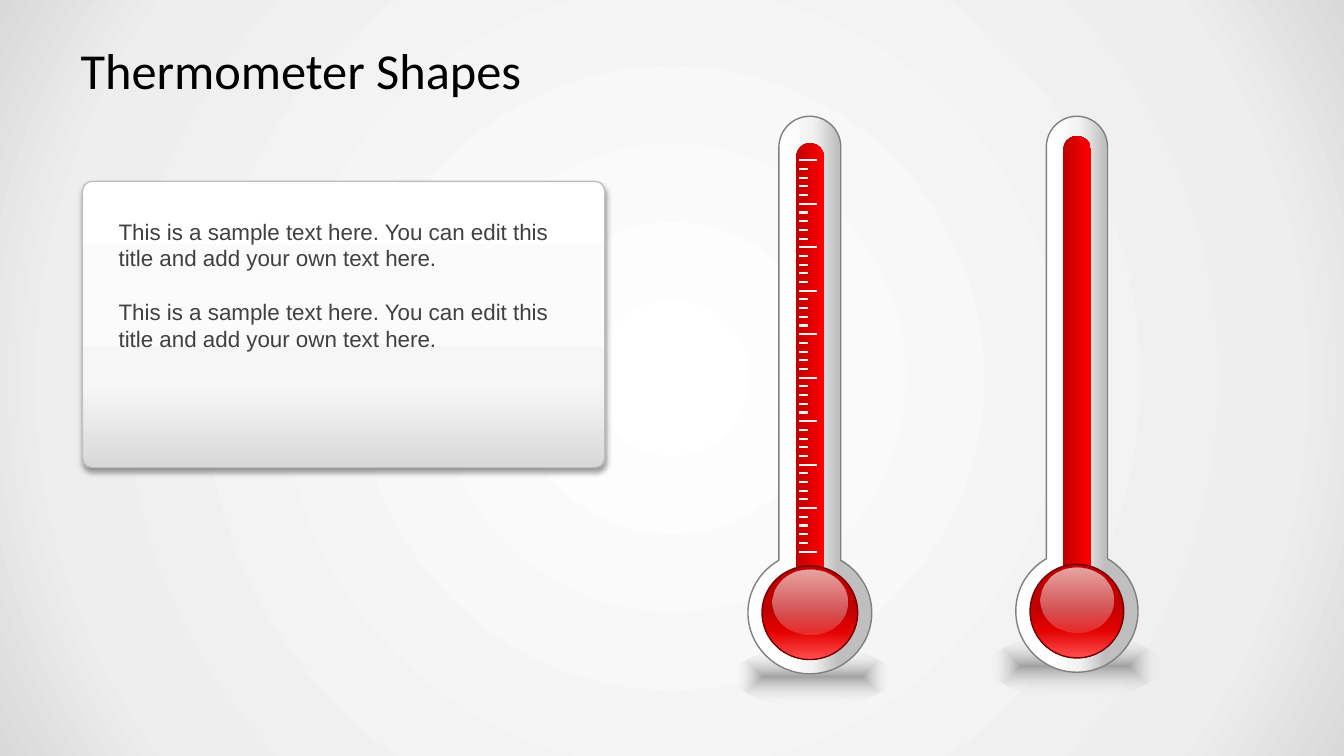
from dataclasses import dataclass

from lxml import etree
from pptx import Presentation
from pptx import util as u
from pptx.dml.color import RGBColor
from pptx.enum import shapes, text
from pptx.oxml import ns

SHAPE = shapes.MSO_SHAPE
SAMPLE = "This is a sample text here. You can edit this title and add your own text here."


@dataclass(frozen=True)
class Theme:
    title_font: str = "Calibri"
    body_font: str = "Arial"
    title_size: float = 36
    body_size: float = 16
    paragraph_gap: float = 19.3
    title_color: str = "000000"
    body_color: str = "404040"
    glass_line: str = "808080"
    bulb_line: str = "760000"
    card_line: str = "BFBFBF"
    tick: str = "F2F2F2"
    shade: str = "000000"
    # Gradient stops: position, colour, opacity (all percentages)
    backdrop: tuple = ((0, "FFFFFF", 100), (81, "EEEEEE", 100), (100, "D9D9D9", 100))
    ground: tuple = ((0, "808080", 70), (100, "FFFFFF", 0))
    glass: tuple = ((31, "FFFFFF", 100), (52, "F2F2F2", 100), (73, "BFBFBF", 100))
    fluid: tuple = ((0, "C00000", 100), (100, "FF0000", 100))
    bulb: tuple = ((46, "C00000", 100), (70, "E30000", 100), (100, "FF4F4F", 100))
    gloss: tuple = ((0, "FFFFFF", 65), (100, "FFFFFF", 15))
    card: tuple = ((0, "FFFFFF", 100), (44, "FBFBFB", 100),
                   (71, "F6F6F6", 100), (100, "D9D9D9", 100))


THEME = Theme()


@dataclass(frozen=True)
class Thermometer:
    """Measures in centimetres; each size is (width, height)."""
    center: float
    neck_y: float
    bulb_y: float
    bottom: float
    bulb_radius: float
    tube_radius: float
    fluid_top: float
    fluid_height: float
    bulb_top: float
    bulb_size: tuple
    gloss_top: float
    gloss_size: tuple
    ground_center: float
    ground_top: float
    ground_size: tuple


PLAIN = Thermometer(27.14, 14.08, 15.4, 16.94, 1.54, 0.77, 3.43, 12.32, 14.22,
                    (2.36, 2.36), 14.3, (1.85, 1.63), 27.09, 15.98, (4.32, 1.6))
SCALED = Thermometer(20.41, 14.12, 15.44, 16.98, 1.56, 0.78, 3.61, 11.61, 14.26,
                     (2.41, 2.36), 14.34, (1.9, 1.65), 20.48, 16.31, (3.96, 1.47))
TUBE_TOP = 2.93
FLUID_WIDTH = 0.71
ROUNDNESS = 0.55  # control arm of a quarter circle, as a share of its radius


def add_xml(parent, tag, **attributes):
    child = etree.SubElement(parent, ns.qn(tag))
    for name, value in attributes.items():
        child.set(name, str(value))
    return child


def add_color(parent, color, opacity):
    node = add_xml(parent, "a:srgbClr", val=color)
    if opacity < 100:
        add_xml(node, "a:alpha", val=opacity * 1000)


def set_gradient(holder, stops, angle=None, path=None):
    """Replace the plain fill in holder by a linear or a centred gradient."""
    old = next(node for node in holder
               if node.tag in (ns.qn("a:noFill"), ns.qn("a:solidFill")))
    fill = etree.Element(ns.qn("a:gradFill"), rotWithShape="1")
    stop_list = add_xml(fill, "a:gsLst")
    for position, color, opacity in stops:
        add_color(add_xml(stop_list, "a:gs", pos=position * 1000), color, opacity)
    if path:
        center = add_xml(fill, "a:path", path=path)
        add_xml(center, "a:fillToRect", l=50000, t=50000, r=50000, b=50000)
    else:
        add_xml(fill, "a:lin", ang=angle * 60000, scaled=0)
    holder.replace(old, fill)


def paint(shape, stops, line=None, **direction):
    shape.shadow.inherit = False
    shape.fill.background()
    set_gradient(shape._element.spPr, stops, **direction)
    if line:
        shape.line.color.rgb = RGBColor.from_string(line)
        shape.line.width = u.Pt(1)
    else:
        shape.line.fill.background()


def add_preset(parent, kind, left, top, width, height, stops, **look):
    shape = parent.add_shape(kind, *map(u.Cm, (left, top, width, height)))
    paint(shape, stops, **look)
    return shape


def add_centered(parent, kind, center, top, size, stops, **look):
    return add_preset(parent, kind, center - size[0] / 2, top, *size, stops, **look)


def bend(shape, curves):
    """Turn line segments into Bezier curves, three segments to a curve."""
    segments = list(shape._element.iter(ns.qn("a:lnTo")))
    for first in curves:
        group = segments[first:first + 3]
        curve = etree.Element(ns.qn("a:cubicBezTo"))
        group[0].addprevious(curve)
        for segment in group:
            curve.append(segment[0])
            segment.getparent().remove(segment)


def add_glass(parent, gauge):
    tube, bulb = gauge.tube_radius, gauge.bulb_radius
    shoulder = TUBE_TOP + tube
    depth = gauge.bottom - gauge.bulb_y
    # Right half from the crown to the bottom, as offsets from the centre line
    right = [(0, TUBE_TOP),
             (tube * ROUNDNESS, TUBE_TOP), (tube, shoulder - tube * ROUNDNESS),
             (tube, shoulder), (tube, gauge.neck_y),
             (tube + 0.47, gauge.neck_y + 0.27), (bulb, gauge.bulb_y - 0.56),
             (bulb, gauge.bulb_y),
             (bulb, gauge.bulb_y + depth * ROUNDNESS), (bulb * ROUNDNESS, gauge.bottom),
             (0, gauge.bottom)]
    left = [(-offset, y) for offset, y in reversed(right[:-1])]
    points = [(u.Cm(gauge.center + offset), u.Cm(y)) for offset, y in right + left]
    builder = parent.build_freeform(*points[0])
    builder.add_line_segments(points[1:], close=True)
    glass = builder.convert_to_shape()
    bend(glass, (0, 4, 7, 10, 13, 17))
    paint(glass, THEME.glass, line=THEME.glass_line, angle=0)


def add_thermometer(slide, gauge):
    parts = slide.shapes.add_group_shape().shapes
    add_centered(parts, SHAPE.OVAL, gauge.ground_center, gauge.ground_top,
                 gauge.ground_size, THEME.ground, path="shape")
    add_glass(parts, gauge)
    fluid = add_centered(parts, SHAPE.ROUNDED_RECTANGLE, gauge.center, gauge.fluid_top,
                         (FLUID_WIDTH, gauge.fluid_height), THEME.fluid, angle=0)
    fluid.adjustments[0] = 0.5
    add_centered(parts, SHAPE.OVAL, gauge.center, gauge.bulb_top, gauge.bulb_size,
                 THEME.bulb, line=THEME.bulb_line, angle=90)
    add_centered(parts, SHAPE.OVAL, gauge.center, gauge.gloss_top, gauge.gloss_size,
                 THEME.gloss, angle=90)
    return parts


def add_scale(parts, left=20.14, first=4.04, last=13.9, intervals=45):
    for index in range(intervals + 1):
        height = u.Cm(first + (last - first) * index / intervals)
        length = 0.23 if index % 5 else 0.45
        tick = parts.add_connector(shapes.MSO_CONNECTOR.STRAIGHT, u.Cm(left), height,
                                   u.Cm(left + length), height)
        tick.line.color.rgb = RGBColor.from_string(THEME.tick)
        tick.line.width = u.Pt(1.5)
        add_xml(tick._element.spPr, "a:effectLst")


def write(frame, lines, font, size, color, **paragraph_format):
    for index, line in enumerate(lines):
        para = frame.add_paragraph() if index else frame.paragraphs[0]
        for name, value in paragraph_format.items():
            setattr(para, name, value)
        if index:
            para.space_before = u.Pt(THEME.paragraph_gap)
        span = para.add_run()
        span.text = line
        for name, value in {"name": font, "size": u.Pt(size)}.items():
            setattr(span.font, name, value)
        span.font.color.rgb = RGBColor.from_string(color)


def set_title(slide, words):
    title = slide.shapes.title
    place = {"left": 1.7, "top": 0.76, "width": 30.48, "height": 1.98}
    for name, value in place.items():
        setattr(title, name, u.Cm(value))
    frame_format = {"vertical_anchor": text.MSO_ANCHOR.MIDDLE,
                    "auto_size": text.MSO_AUTO_SIZE.NONE, "word_wrap": True,
                    "margin_left": u.Cm(0.33), "margin_right": u.Cm(0.33),
                    "margin_top": u.Cm(0.17), "margin_bottom": u.Cm(0.17)}
    for name, value in frame_format.items():
        setattr(title.text_frame, name, value)
    write(title.text_frame, [words], THEME.title_font, THEME.title_size,
          THEME.title_color, alignment=text.PP_ALIGN.LEFT)


def add_card(slide, lines):
    parts = slide.shapes.add_group_shape().shapes
    card = add_preset(parts, SHAPE.ROUNDED_RECTANGLE, 2.08, 4.57, 13.16, 7.21,
                      THEME.card, line=THEME.card_line, angle=90)
    card.adjustments[0] = 0.033
    effects = card._element.spPr.find(ns.qn("a:effectLst"))
    shadow = add_xml(effects, "a:outerShdw", blurRad=u.Pt(4), dist=u.Pt(3),
                     dir=90 * 60000, algn="t", rotWithShape=0)
    add_color(shadow, THEME.shade, 40)
    box = parts.add_textbox(*map(u.Cm, (2.74, 5.36, 11.84, 5.74)))
    box.text_frame.word_wrap = True
    write(box.text_frame, lines, THEME.body_font, THEME.body_size, THEME.body_color)


def main():
    deck = Presentation()
    deck.slide_width, deck.slide_height = u.Cm(33.87), u.Cm(19.05)
    slide = deck.slides.add_slide(deck.slide_layouts[5])
    slide.background.fill.solid()
    set_gradient(slide._element.cSld.bg.bgPr, THEME.backdrop, path="circle")
    set_title(slide, "Thermometer Shapes")
    add_thermometer(slide, PLAIN)
    add_scale(add_thermometer(slide, SCALED))
    add_card(slide, [SAMPLE, SAMPLE])
    deck.save("out.pptx")


if __name__ == "__main__":
    main()
